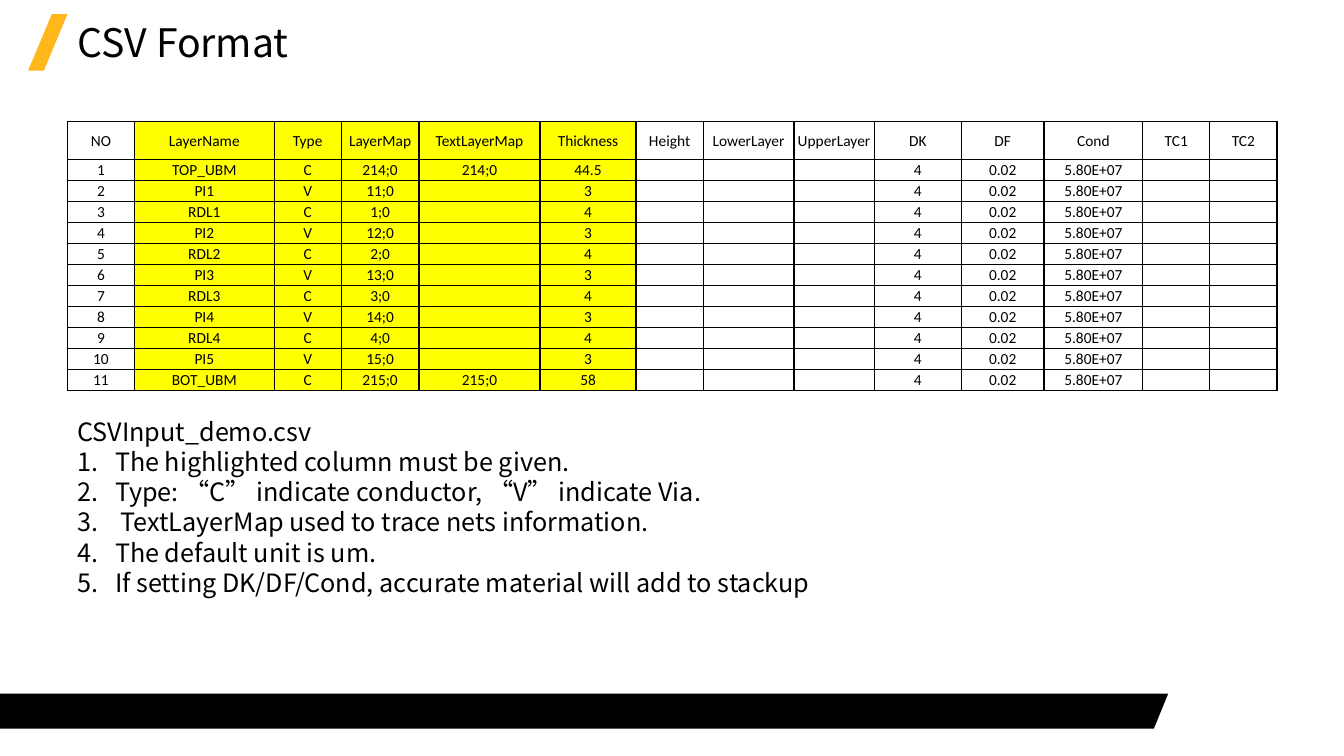
from dataclasses import dataclass

from lxml import etree
from pptx import Presentation
from pptx.dml.color import RGBColor
from pptx.enum.shapes import MSO_SHAPE
from pptx.enum.text import MSO_ANCHOR, MSO_AUTO_SIZE, PP_ALIGN
from pptx.oxml.ns import qn
from pptx.util import Cm, Pt

MIDDLE, TOP = MSO_ANCHOR.MIDDLE, MSO_ANCHOR.TOP
LEFT, CENTER = PP_ALIGN.LEFT, PP_ALIGN.CENTER
NO_FIT = MSO_AUTO_SIZE.NONE
GROW = MSO_AUTO_SIZE.SHAPE_TO_FIT_TEXT
PARALLELOGRAM = MSO_SHAPE.PARALLELOGRAM

COLORS = {"ink": "000000", "accent": "FFB71B", "highlight": "FFFF00"}
HEADING_FONT, TABLE_FONT = "Noto Sans CJK SC", "Calibri"
TABLE_SIZE = 11
HEADER_HEIGHT, ROW_HEIGHT = 0.95, 0.53
CELL_INSET = Cm(0.03)
LIST_INDENT = Cm(0.95)


@dataclass(frozen=True)
class Column:
    name: str
    width: float
    required: bool = False
    default: str = ""


@dataclass(frozen=True)
class Layer:
    name: str
    kind: str
    layer_map: str
    thickness: str
    text_map: str = ""


COLUMNS = [
    Column("NO", 1.69),
    Column("LayerName", 3.52, True),
    Column("Type", 1.69, True),
    Column("LayerMap", 1.96, True),
    Column("TextLayerMap", 3.05, True),
    Column("Thickness", 2.42, True),
    Column("Height", 1.69),
    Column("LowerLayer", 2.29),
    Column("UpperLayer", 2.02),
    Column("DK", 2.2, default="4"),
    Column("DF", 2.08, default="0.02"),
    Column("Cond", 2.49, default="5.80E+07"),
    Column("TC1", 1.69),
    Column("TC2", 1.69),
]

# Vias (PI) and conductors (RDL) alternate between the two UBM layers
LAYERS = [Layer("TOP_UBM", "C", "214;0", "44.5", "214;0")]
for level in range(1, 5):
    LAYERS += [Layer(f"PI{level}", "V", f"{10 + level};0", "3"),
               Layer(f"RDL{level}", "C", f"{level};0", "4")]
LAYERS += [Layer("PI5", "V", "15;0", "3"),
           Layer("BOT_UBM", "C", "215;0", "58", "215;0")]

NOTES = [
    "The highlighted column must be given.",
    "Type: “C” indicate conductor, “V” indicate Via.",
    " TextLayerMap used to trace nets information.",
    "The default unit is um.",
    "If setting DK/DF/Cond, accurate material will add to stackup",
]


def color(name: str) -> RGBColor:
    return RGBColor.from_string(COLORS[name])


def add_span(para, text: str, size: float, font: str) -> None:
    span = para.add_run()
    span.text = text
    span.font.size = Pt(size)
    span.font.name = font
    span.font.color.rgb = color("ink")
    etree.SubElement(span.font._element, qn("a:ea"), typeface=font)


def paint(shape, fill: str) -> None:
    shape.shadow.inherit = False
    shape.fill.solid()
    shape.fill.fore_color.rgb = color(fill)
    shape.line.fill.background()


def add_decoration(page) -> None:
    outline = page.shapes.build_freeform(Cm(0), Cm(17.48))
    outline.add_line_segments(
        [(Cm(29.44), Cm(17.48)), (Cm(29.08), Cm(18.36)), (Cm(0), Cm(18.36))])
    paint(outline.convert_to_shape(), "ink")

    slash = page.shapes.add_shape(
        PARALLELOGRAM, Cm(0.71), Cm(0.36), Cm(0.99), Cm(1.42))
    slash.adjustments[0] = 0.6
    paint(slash, "accent")


def add_title(page, text: str) -> None:
    title = page.shapes.title
    title.left, title.top = Cm(1.7), Cm(0.41)
    title.width, title.height = Cm(30.48), Cm(1.42)
    frame = title.text_frame
    frame.auto_size, frame.vertical_anchor = NO_FIT, MIDDLE
    para = frame.paragraphs[0]
    para.alignment, para.line_spacing = LEFT, 0.9
    add_span(para, text, 28, HEADING_FONT)


def add_borders(cell) -> None:
    properties = cell._tc.get_or_add_tcPr()
    for side in ("lnL", "lnR", "lnT", "lnB"):
        line = etree.SubElement(properties, qn(f"a:{side}"), w=str(Pt(1)))
        fill = etree.SubElement(line, qn("a:solidFill"))
        etree.SubElement(fill, qn("a:srgbClr"), val=COLORS["ink"])


def fill_cell(cell, text: str, highlighted: bool) -> None:
    cell.margin_left = cell.margin_right = cell.margin_top = CELL_INSET
    cell.margin_bottom = 0
    cell.vertical_anchor = MIDDLE
    add_borders(cell)
    if highlighted:
        cell.fill.solid()
        cell.fill.fore_color.rgb = color("highlight")
    else:
        cell.fill.background()
    para = cell.text_frame.paragraphs[0]
    para.alignment = CENTER
    if text:
        add_span(para, text, TABLE_SIZE, TABLE_FONT)
    else:  # keeps an empty cell as low as its row
        etree.SubElement(para._p, qn("a:endParaRPr"), sz=str(TABLE_SIZE * 100))


def layer_values(number: int, layer: Layer) -> list[str]:
    given = [str(number), layer.name, layer.kind, layer.layer_map,
             layer.text_map, layer.thickness]
    return given + [column.default for column in COLUMNS[len(given):]]


def add_layer_table(page) -> None:
    rows = [[column.name for column in COLUMNS]]
    rows += [layer_values(number, layer) for number, layer in enumerate(LAYERS, 1)]
    width = sum(column.width for column in COLUMNS)
    height = HEADER_HEIGHT + ROW_HEIGHT * len(LAYERS)
    table = page.shapes.add_table(
        len(rows), len(COLUMNS), Cm(1.7), Cm(3.06), Cm(width), Cm(height)).table
    table.first_row = table.horz_banding = False
    for index, column in enumerate(COLUMNS):
        table.columns[index].width = Cm(column.width)
    for row_index, values in enumerate(rows):
        table.rows[row_index].height = Cm(ROW_HEIGHT if row_index else HEADER_HEIGHT)
        for index, (column, text) in enumerate(zip(COLUMNS, values)):
            fill_cell(table.cell(row_index, index), text, column.required)


def add_notes_list(page) -> None:
    box = page.shapes.add_textbox(Cm(1.7), Cm(10.36), Cm(21.84), Cm(4.88))
    frame = box.text_frame
    frame.word_wrap, frame.auto_size, frame.vertical_anchor = True, GROW, TOP
    add_span(frame.paragraphs[0], "CSVInput_demo.csv", 18, HEADING_FONT)
    for note in NOTES:
        para = frame.add_paragraph()
        properties = para._p.get_or_add_pPr()
        properties.set("marL", str(LIST_INDENT))
        properties.set("indent", str(-LIST_INDENT))
        etree.SubElement(properties, qn("a:buFont"), typeface="+mj-lt")
        etree.SubElement(properties, qn("a:buAutoNum"), type="arabicPeriod")
        add_span(para, note, 18, HEADING_FONT)


def main() -> None:
    deck = Presentation()
    deck.slide_width, deck.slide_height = Cm(33.87), Cm(19.05)
    page = deck.slides.add_slide(deck.slide_layouts[5])
    add_decoration(page)
    add_title(page, "CSV Format")
    add_layer_table(page)
    add_notes_list(page)
    deck.save("out.pptx")


if __name__ == "__main__":
    main()
